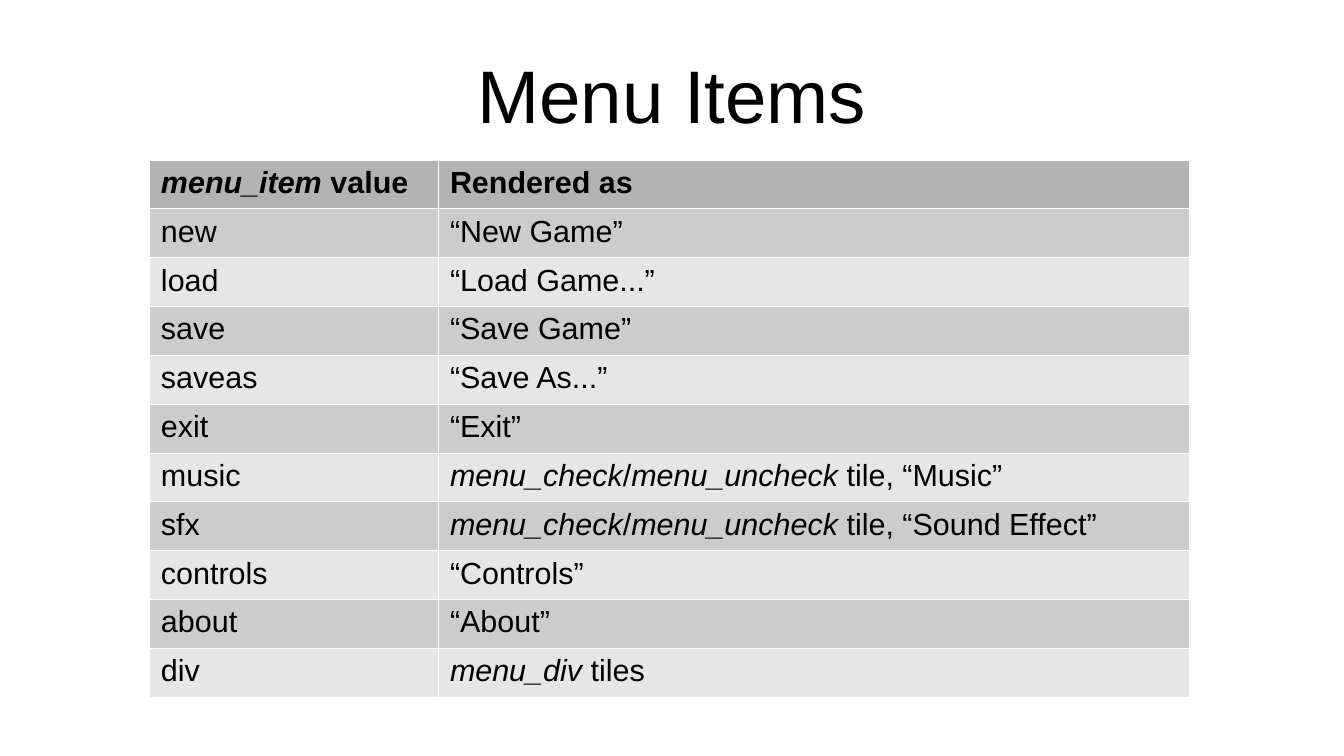
from lxml.etree import SubElement
from pptx import Presentation
from pptx.dml.color import RGBColor
from pptx.enum.text import MSO_ANCHOR, PP_ALIGN
from pptx.oxml.ns import qn
from pptx.util import Inches, Pt

COLORS = {
    "text": "000000",
    "border": "FFFFFF",
    "header": "B3B3B3",
    "odd": "CCCCCC",
    "even": "E6E6E6",
}

TOGGLE = "*menu_check*/*menu_uncheck* tile, "
MENU_ITEMS = [
    ("*menu_item* value", "Rendered as"),
    ("new", "“New Game”"),
    ("load", "“Load Game...”"),
    ("save", "“Save Game”"),
    ("saveas", "“Save As...”"),
    ("exit", "“Exit”"),
    ("music", TOGGLE + "“Music”"),
    ("sfx", TOGGLE + "“Sound Effect”"),
    ("controls", "“Controls”"),
    ("about", "“About”"),
    ("div", "*menu_div* tiles"),
]


class SlideBuilder:
    font = "Arial"
    title_size = 44
    cell_size = 18
    border_width = 0.06

    def __init__(self, slide):
        self.slide = slide

    def add_runs(self, paragraph, marked_text, size, bold=False):
        for index, piece in enumerate(marked_text.split("*")):
            if not piece:
                continue
            run = paragraph.add_run()
            run.text = piece
            run.font.name = self.font
            run.font.size = Pt(size)
            run.font.bold = bold
            run.font.italic = index % 2 == 1
            run.font.color.rgb = RGBColor.from_string(COLORS["text"])

    def title(self, text, left, top, width, height):
        box = self.slide.shapes.add_textbox(
            Inches(left), Inches(top), Inches(width), Inches(height))
        frame = box.text_frame
        frame.word_wrap = True
        frame.vertical_anchor = MSO_ANCHOR.MIDDLE
        frame.margin_left = frame.margin_right = 0
        frame.margin_top = frame.margin_bottom = 0
        heading = frame.paragraphs[0]
        heading.alignment = PP_ALIGN.CENTER
        self.add_runs(heading, text, self.title_size)

    def borders(self, cell):
        properties = cell._tc.get_or_add_tcPr()
        for side in ("a:lnL", "a:lnR", "a:lnT", "a:lnB"):
            line = SubElement(properties, qn(side), w=str(Pt(self.border_width)))
            fill = SubElement(line, qn("a:solidFill"))
            SubElement(fill, qn("a:srgbClr"), val=COLORS["border"])

    def table(self, rows, left, top, column_widths, row_height):
        table = self.slide.shapes.add_table(
            len(rows), len(column_widths), Inches(left), Inches(top),
            Inches(sum(column_widths)), Inches(row_height * len(rows))).table
        for column, width in zip(table.columns, column_widths):
            column.width = Inches(width)
        for row_index, texts in enumerate(rows):
            table.rows[row_index].height = Inches(row_height)
            is_header = row_index == 0
            band = "header" if is_header else ("even", "odd")[row_index % 2]
            for cell, text in zip(table.rows[row_index].cells, texts):
                self.borders(cell)
                cell.fill.solid()
                cell.fill.fore_color.rgb = RGBColor.from_string(COLORS[band])
                cell.margin_left = cell.margin_right = Inches(0.1)
                cell.margin_top = cell.margin_bottom = Inches(0.05)
                self.add_runs(cell.text_frame.paragraphs[0], text,
                              self.cell_size, is_header)


def main():
    presentation = Presentation()
    presentation.slide_width = Inches(11.02)
    presentation.slide_height = Inches(6.2)
    builder = SlideBuilder(
        presentation.slides.add_slide(presentation.slide_layouts[6]))
    builder.title("Menu Items", 0.55, 0.25, 9.92, 1.04)
    builder.table(MENU_ITEMS, 1.22, 1.31, (2.37, 6.16), 0.4)
    presentation.save("out.pptx")


if __name__ == "__main__":
    main()
